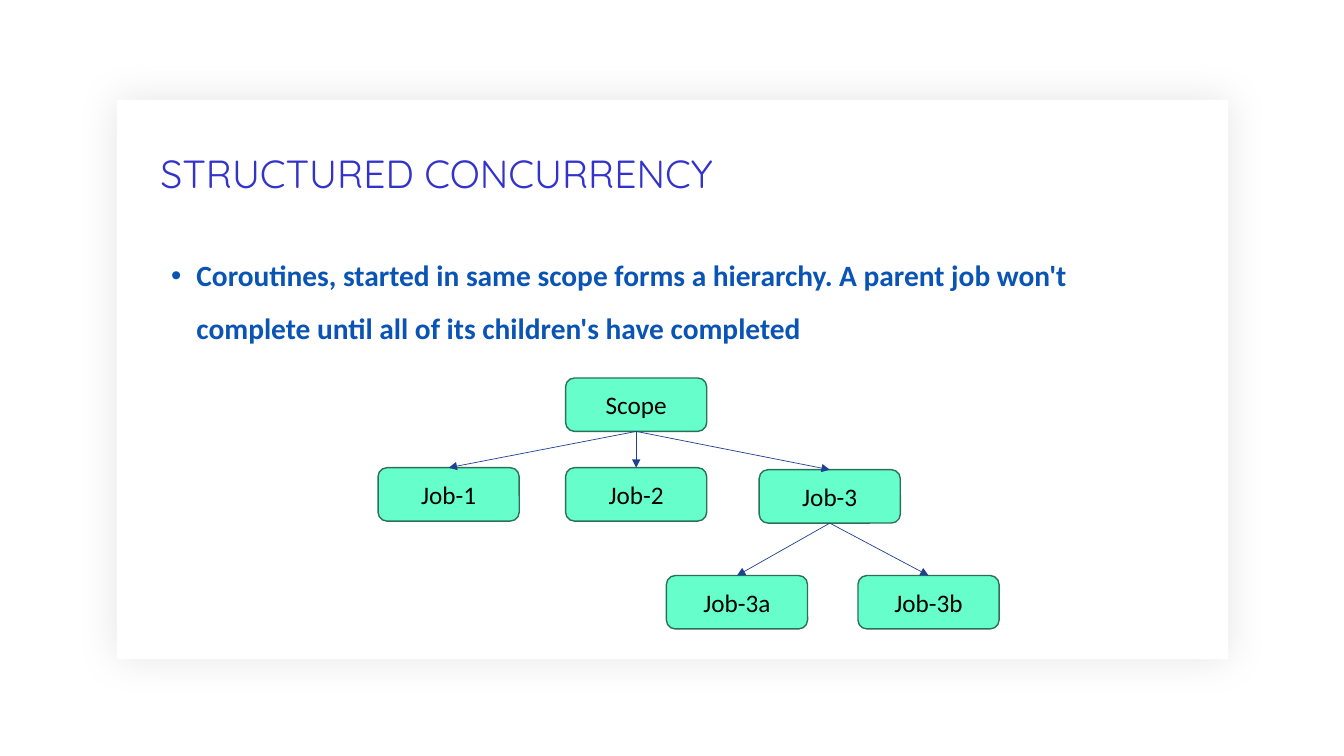
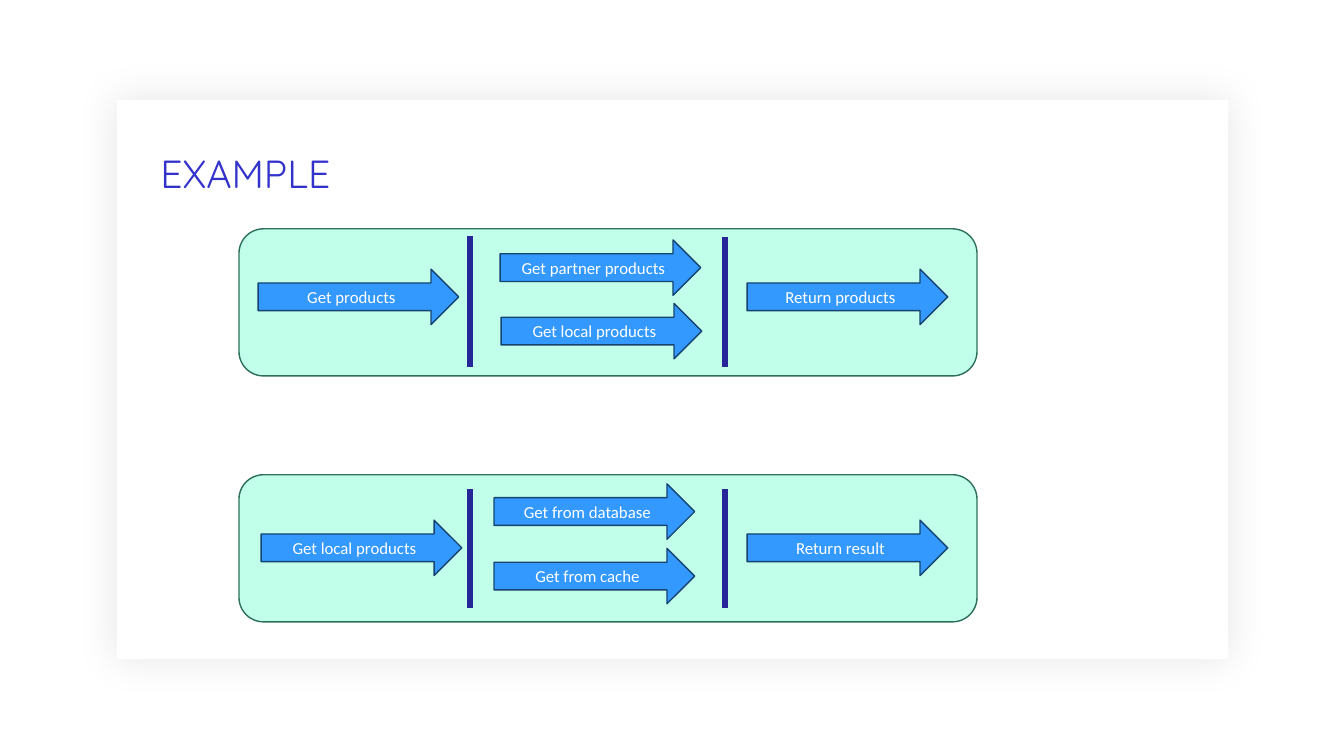
from typing import NamedTuple

from lxml.etree import SubElement
from pptx import Presentation
from pptx.dml.color import RGBColor
from pptx.enum.shapes import MSO_CONNECTOR, MSO_SHAPE as Preset
from pptx.enum.text import MSO_ANCHOR as Anchor, MSO_AUTO_SIZE as AutoSize, PP_ALIGN as Align
from pptx.oxml.ns import qn
from pptx.util import Inches, Pt

WHITE = RGBColor(0xFF, 0xFF, 0xFF)
BLACK = RGBColor(0x00, 0x00, 0x00)
TITLE_BLUE = RGBColor(0x33, 0x33, 0xCC)
BODY_BLUE = RGBColor(0x09, 0x54, 0xB4)
MINT = RGBColor(0x66, 0xFF, 0xCC)
MINT_EDGE = RGBColor(0x2D, 0x70, 0x59)
LINK_BLUE = RGBColor(0x20, 0x41, 0x92)
STEP_BLUE = RGBColor(0x33, 0x99, 0xFF)
STEP_EDGE = RGBColor(0x16, 0x43, 0x70)
DIVIDER_BLUE = RGBColor(0x26, 0x26, 0x99)

TITLE_FONT = "Quicksand"
BODY_FONT = "Calibri"

JOB_SIZE = (1.4, 0.53)
STEP_SIZE = (1.99, 0.55)
BAND_LEFT, BAND_WIDTH, BAND_HEIGHT = 2.37, 7.32, 1.46
DIVIDER_XS = (4.66, 7.19)
BOTTOM, TOP = 2, 0


class Job(NamedTuple):
    label: str
    left: float
    top: float
    parent: str | None = None


class Step(NamedTuple):
    label: str
    left: float
    top: float


class Flow(NamedTuple):
    top: float
    divider_tops: tuple[float, float]
    divider_bottom: float
    steps: tuple[Step, ...]


JOBS = (
    Job("Scope", 5.61, 3.75),
    Job("Job-1", 3.75, 4.64, "Scope"),
    Job("Job-2", 5.61, 4.64, "Scope"),
    Job("Job-3", 7.53, 4.66, "Scope"),
    Job("Job-3a", 6.61, 5.71, "Job-3"),
    Job("Job-3b", 8.51, 5.71, "Job-3"),
)

FLOWS = (
    Flow(2.27, (2.34, 2.35), 3.64, (
        Step("Get products", 2.56, 2.67),
        Step("Get partner products", 4.96, 2.38),
        Step("Get local products", 4.97, 3.01),
        Step("Return products", 7.41, 2.67),
    )),
    Flow(4.71, (4.85, 4.85), 6.03, (
        Step("Get local products", 2.59, 5.16),
        Step("Get from database", 4.9, 4.8),
        Step("Get from cache", 4.9, 5.44),
        Step("Return result", 7.41, 5.16),
    )),
)


def write(frame, text: str, *, size: float, color: RGBColor, font: str = BODY_FONT,
          bold: bool = False, align=Align.LEFT, anchor=Anchor.TOP,
          spacing: float | None = None, bullet: str | None = None) -> None:
    """Fill a text frame with one formatted paragraph."""
    frame.word_wrap = True
    frame.auto_size = AutoSize.NONE
    frame.vertical_anchor = anchor
    frame.text = text
    paragraph = frame.paragraphs[0]
    if bullet:
        properties = paragraph._p.get_or_add_pPr()
        properties.set("marL", str(Inches(0.25)))
        properties.set("indent", str(-Inches(0.25)))
        SubElement(properties, qn("a:buFont"), typeface="Arial")
        SubElement(properties, qn("a:buChar"), char=bullet)
    paragraph.alignment = align
    if spacing:
        paragraph.line_spacing = spacing
    style = paragraph.runs[0].font
    style.name, style.size, style.bold = font, Pt(size), bold
    style.color.rgb = color


def add_block(slide, preset, left: float, top: float, width: float, height: float,
              fill: RGBColor, edge: RGBColor | None = None, opacity: int = 100):
    """Add a flat shape, outlined when an edge colour is given."""
    block = slide.shapes.add_shape(
        preset, Inches(left), Inches(top), Inches(width), Inches(height))
    block.shadow.inherit = False
    block.fill.solid()
    block.fill.fore_color.rgb = fill
    if opacity < 100:
        tint = block._element.spPr.find(f"{qn('a:solidFill')}/{qn('a:srgbClr')}")
        SubElement(tint, qn("a:alpha"), val=str(opacity * 1000))
    if edge is None:
        block.line.fill.background()
    else:
        block.line.color.rgb = edge
        block.line.width = Pt(1)
    return block


def add_line(slide, start: tuple[float, float], end: tuple[float, float],
             color: RGBColor, width: float, arrow: bool = False):
    """Add a straight line, optionally with an arrowhead at its end."""
    line = slide.shapes.add_connector(
        MSO_CONNECTOR.STRAIGHT, *(Inches(value) for value in (*start, *end)))
    line.line.color.rgb = color
    line.line.width = Pt(width)
    if arrow:
        SubElement(line.line._get_or_add_ln(), qn("a:tailEnd"), type="triangle")
    SubElement(line._element.spPr, qn("a:effectLst"))
    return line


def add_titled_slide(deck, heading: str):
    """Start a slide with the shadowed panel and the title they all share."""
    slide = deck.slides.add_slide(deck.slide_layouts[5])
    title = slide.shapes.title
    title.left, title.top = Inches(1.49), Inches(1.22)
    title.width, title.height = Inches(10.69), Inches(1.05)
    write(title.text_frame, heading, size=28, color=TITLE_BLUE, font=TITLE_FONT,
          anchor=Anchor.MIDDLE, spacing=0.9)

    # The panel lies behind the title and casts a soft glow-like shadow
    panel = add_block(slide, Preset.RECTANGLE, 1.16, 0.99, 11.02, 5.55, WHITE)
    effects = panel._element.spPr.find(qn("a:effectLst"))
    shadow = SubElement(effects, qn("a:outerShdw"), blurRad=str(Pt(30)), dist="0",
                        algn="ctr", rotWithShape="0")
    shade = SubElement(shadow, qn("a:srgbClr"), val=str(BLACK))
    SubElement(shade, qn("a:alpha"), val="10000")
    title._element.addprevious(panel._element)
    return slide


def add_job_tree(slide, jobs: tuple[Job, ...]) -> None:
    """Draw the jobs and an arrow from each parent to its child."""
    boxes = {}
    for job in jobs:
        box = add_block(slide, Preset.ROUNDED_RECTANGLE, job.left, job.top, *JOB_SIZE,
                        MINT, MINT_EDGE)
        write(box.text_frame, job.label, size=18, color=BLACK,
              align=Align.CENTER, anchor=Anchor.MIDDLE)
        boxes[job.label] = box
        if job.parent:
            link = add_line(slide, (0, 0), (0, 0), LINK_BLUE, 0.5, arrow=True)
            link.begin_connect(boxes[job.parent], BOTTOM)
            link.end_connect(box, TOP)


def add_flow(slide, flow: Flow) -> None:
    """Draw a band of step arrows split by vertical dividers."""
    add_block(slide, Preset.FLOWCHART_ALTERNATE_PROCESS, BAND_LEFT, flow.top,
              BAND_WIDTH, BAND_HEIGHT, MINT, MINT_EDGE, opacity=40)
    for step in flow.steps:
        arrow = add_block(slide, Preset.RIGHT_ARROW, step.left, step.top, *STEP_SIZE,
                          STEP_BLUE, STEP_EDGE)
        write(arrow.text_frame, step.label, size=12, color=WHITE,
              align=Align.CENTER, anchor=Anchor.MIDDLE)
    for x, top in zip(DIVIDER_XS, flow.divider_tops):
        add_line(slide, (x, top), (x, flow.divider_bottom), DIVIDER_BLUE, 4)


def main() -> None:
    deck = Presentation()
    deck.slide_width, deck.slide_height = Inches(13.33), Inches(7.5)

    # Job hierarchy
    hierarchy = add_titled_slide(deck, "STRUCTURED CONCURRENCY")
    statement = hierarchy.shapes.add_textbox(
        Inches(1.6), Inches(2.33), Inches(9.84), Inches(1.3))
    write(statement.text_frame,
          "Coroutines, started in same scope forms a hierarchy. A parent job won't "
          "complete until all of its children's have completed",
          size=21, color=BODY_BLUE, bold=True, spacing=1.5, bullet="•")
    add_job_tree(hierarchy, JOBS)

    # Product flows
    example = add_titled_slide(deck, "EXAMPLE")
    for flow in FLOWS:
        add_flow(example, flow)

    deck.save("out.pptx")


if __name__ == "__main__":
    main()
